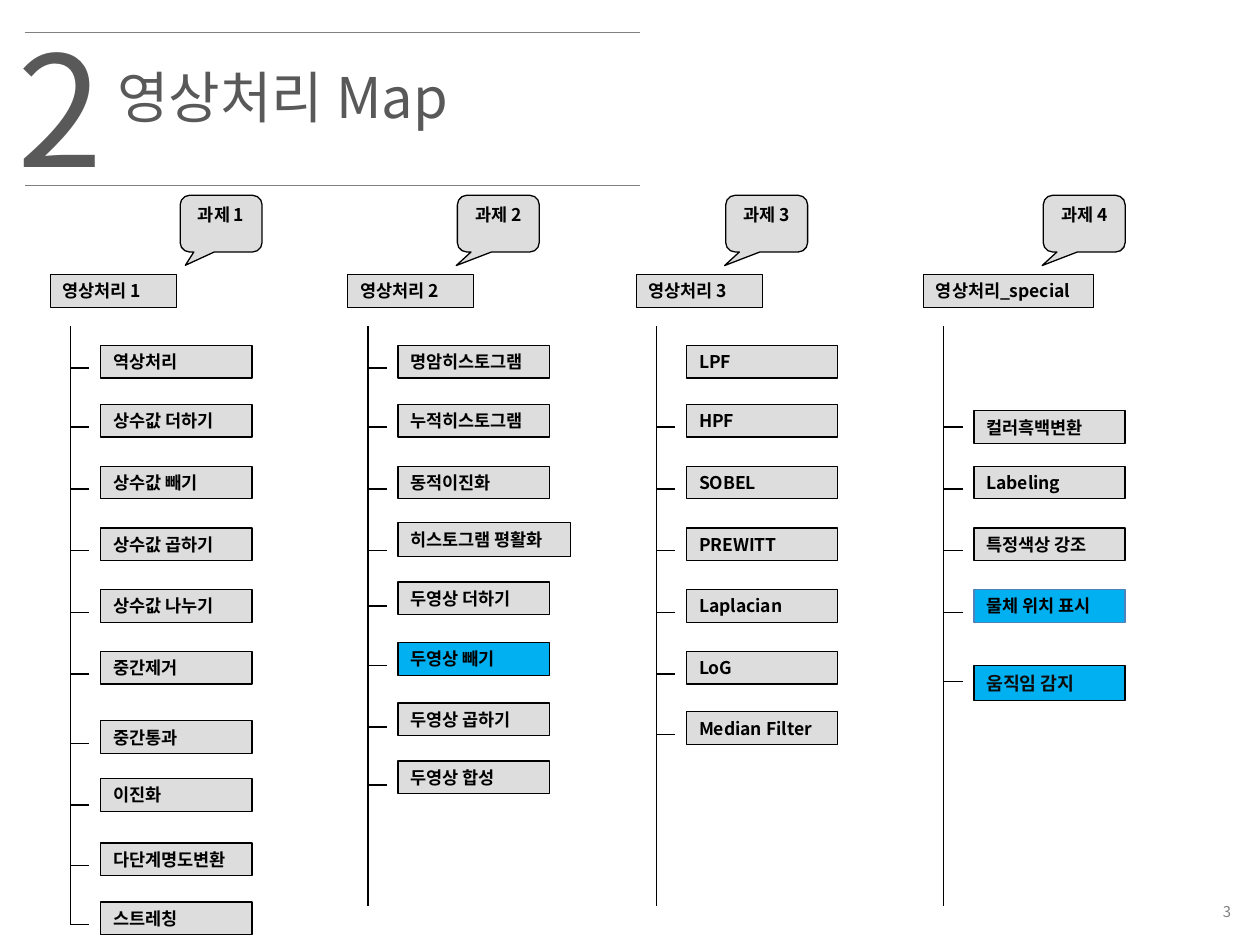
import pptx
import pptx.util
import pptx.dml.color
import pptx.enum.shapes
import pptx.enum.text
import pptx.oxml
import pptx.oxml.ns

Inches = pptx.util.Inches
RGBColor = pptx.dml.color.RGBColor
Shapes = pptx.enum.shapes.MSO_SHAPE
Align = pptx.enum.text.PP_ALIGN
Anchor = pptx.enum.text.MSO_ANCHOR

BLACK = RGBColor(0x00, 0x00, 0x00)
NEAR_BLACK = RGBColor(0x0D, 0x0D, 0x0D)
DARK_GRAY = RGBColor(0x59, 0x59, 0x59)
MID_GRAY = RGBColor(0x80, 0x80, 0x80)
LIGHT_GRAY = RGBColor(0xDD, 0xDD, 0xDD)
SKY = RGBColor(0x00, 0xB0, 0xF0)
BLUE = RGBColor(0x4F, 0x81, 0xBD)
FONT = "Noto Sans CJK KR"

deck = pptx.Presentation()
deck.slide_width, deck.slide_height = Inches(10), Inches(7.5)
page = deck.slides.add_slide(deck.slide_layouts[5])


def write(box, text, size, color, bold=False, align=Align.LEFT, anchor=Anchor.MIDDLE):
    frame = box.text_frame
    frame.text = text
    frame.word_wrap = False
    frame.vertical_anchor = anchor
    frame.margin_left = frame.margin_right = Inches(0.1)
    frame.margin_top = frame.margin_bottom = Inches(0.05)
    para = frame.paragraphs[0]
    para.alignment = align
    span = para.runs[0]
    span.font.name = FONT
    span.font.size = pptx.util.Pt(size)
    span.font.bold = bold
    span.font.color.rgb = color
    east_asian = pptx.oxml.parse_xml(
        f'<a:ea {pptx.oxml.ns.nsdecls("a")} typeface="{FONT}"/>')
    span.font._element.find(pptx.oxml.ns.qn("a:latin")).addnext(east_asian)


def draw_line(x1, y1, x2, y2, color=BLACK):
    line = page.shapes.add_connector(
        pptx.enum.shapes.MSO_CONNECTOR.STRAIGHT,
        Inches(x1), Inches(y1), Inches(x2), Inches(y2))
    line.line.color.rgb = color
    line.line.width = pptx.util.Pt(0.75)
    line._element.spPr.append(
        pptx.oxml.parse_xml(f'<a:effectLst {pptx.oxml.ns.nsdecls("a")}/>'))


title = page.shapes.title
title.left, title.top = Inches(0.83), Inches(0.44)
title.width, title.height = Inches(4.49), Inches(0.64)
write(title, "영상처리 Map", 32, DARK_GRAY)

chapter = page.shapes.add_textbox(Inches(0.04), Inches(0.05), Inches(1.18), Inches(1.58))
write(chapter, "2", 88, DARK_GRAY)
number = page.shapes.add_textbox(Inches(7.76), Inches(7.1), Inches(2.11), Inches(0.27))
write(number, "3", 8.5, MID_GRAY, align=Align.RIGHT)

for rule_y in (0.26, 1.47):
    draw_line(0.2, rule_y, 5.08, rule_y, MID_GRAY)

# header, left, header width, spine end, callout left, callout tip, (item, top, tick)
columns = [
    ("영상처리 1", 0.4, 1, 7.34, 1.43, (-0.437, 0.735), [
        ("역상처리", 2.74, 2.92), ("상수값 더하기", 3.21, 3.39),
        ("상수값 빼기", 3.7, 3.88), ("상수값 곱하기", 4.19, 4.37),
        ("상수값 나누기", 4.68, 4.86), ("중간제거", 5.17, 5.35),
        ("중간통과", 5.72, 5.9), ("이진화", 6.18, 6.39),
        ("다단계명도변환", 6.69, 6.87), ("스트레칭", 7.16, 7.34)]),
    ("영상처리 2", 2.76, 1, 7.19, 3.63, (-0.514, 0.739), [
        ("명암히스토그램", 2.74, 2.92), ("누적히스토그램", 3.21, 3.39),
        ("동적이진화", 3.7, 3.88), ("히스토그램 평활화", 4.15, 4.37),
        ("두영상 더하기", 4.62, 4.81), ("두영상 빼기", 5.1, 5.28),
        ("두영상 곱하기", 5.58, 5.77), ("두영상 합성", 6.04, 6.23)]),
    ("영상처리 3", 5.05, 1, 7.19, 5.76, (-0.514, 0.739), [
        ("LPF", 2.74, None), ("HPF", 3.21, 3.39), ("SOBEL", 3.7, 3.88),
        ("PREWITT", 4.19, 4.37), ("Laplacian", 4.68, 4.86),
        ("LoG", 5.17, 5.35), ("Median Filter", 5.65, 5.83)]),
    ("영상처리_special", 7.33, 1.35, 7.19, 8.28, (-0.514, 0.739), [
        ("컬러흑백변환", 3.26, 3.39), ("Labeling", 3.7, 3.88),
        ("특정색상 강조", 4.19, 4.37), ("물체 위치 표시", 4.68, 4.86),
        ("움직임 감지", 5.28, 5.41)]),
]
highlighted = {"두영상 빼기", "물체 위치 표시", "움직임 감지"}
item_sizes = {"히스토그램 평활화": (1.37, 0.27), "움직임 감지": (1.2, 0.28)}

for index, (header, left, header_width, spine_end, callout_left, tip, items) in enumerate(columns, 1):
    spine = left + 0.16
    draw_line(spine, 2.59, spine, spine_end)
    boxes = [(header, left, 2.18, header_width, 0.26)]
    for item, top, tick in items:
        boxes.append((item, left + 0.4, top, *item_sizes.get(item, (1.2, 0.26))))
        if tick:
            draw_line(spine, tick, spine + 0.15, tick)
    task = f"과제 {index}"
    boxes.append((task, callout_left, 1.55, 0.65, 0.45))

    for text, x, y, width, height in boxes:
        is_task = text == task
        kind = Shapes.ROUNDED_RECTANGULAR_CALLOUT if is_task else Shapes.RECTANGLE
        box = page.shapes.add_shape(kind, Inches(x), Inches(y), Inches(width), Inches(height))
        box.shadow.inherit = False
        box.fill.solid()
        box.fill.fore_color.rgb = SKY if text in highlighted else LIGHT_GRAY
        box.line.color.rgb = BLUE if text == "물체 위치 표시" else BLACK
        box.line.width = pptx.util.Pt(0.75)
        if is_task:
            box.adjustments[0], box.adjustments[1] = tip
            write(box, text, 10, BLACK, True, Align.CENTER, Anchor.TOP)
        elif text == "움직임 감지":
            write(box, text, 10.5, NEAR_BLACK, True)
        else:
            write(box, text, 10, BLACK, True)

deck.save("out.pptx")
